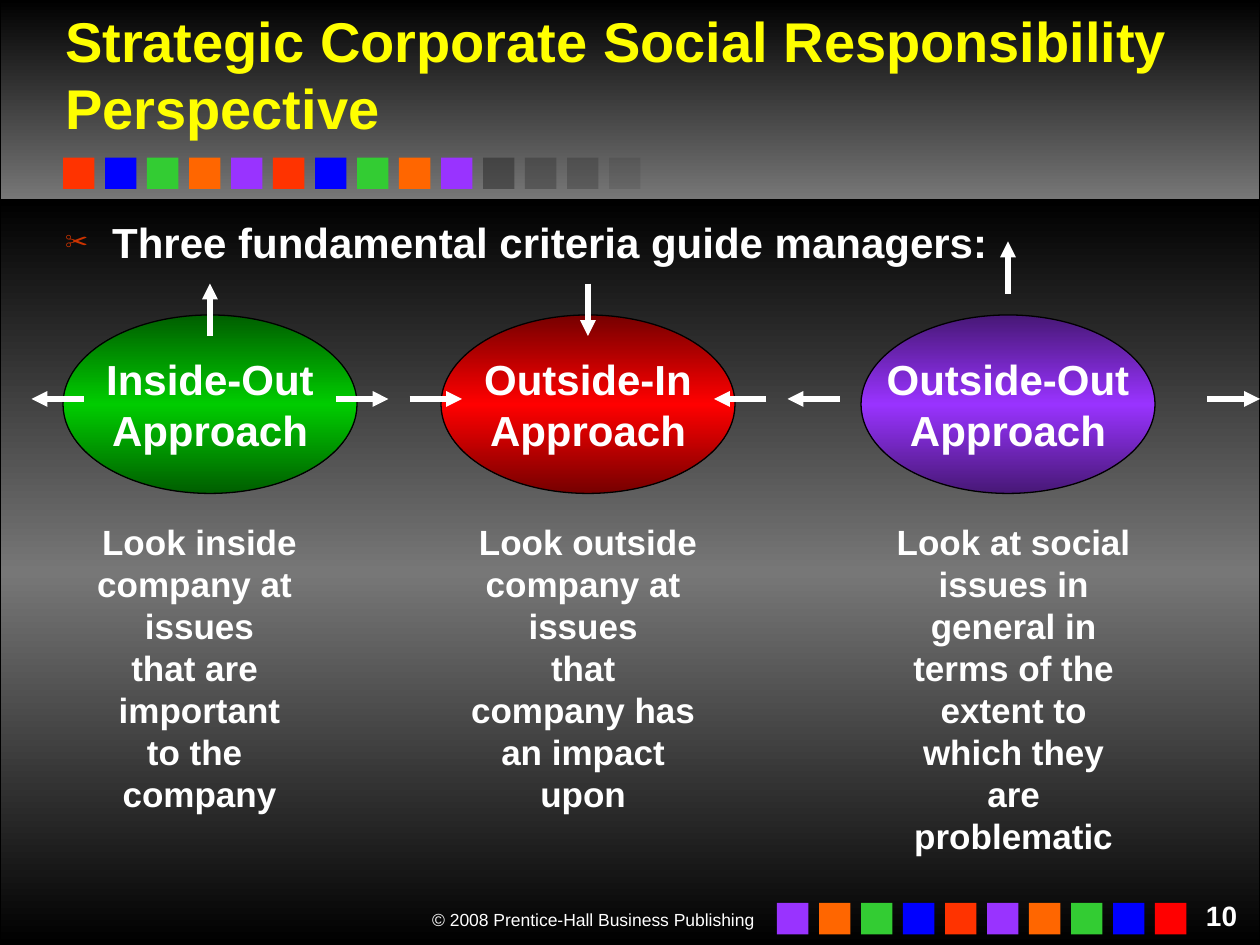
from dataclasses import dataclass
from lxml.etree import SubElement as Sub
from pptx import Presentation
from pptx.dml.color import RGBColor as RGB
from pptx.enum.shapes import MSO_CONNECTOR as Link, MSO_SHAPE as Form
from pptx.enum.text import MSO_ANCHOR as Anchor, MSO_AUTO_SIZE as Fit, PP_ALIGN as Align
from pptx.oxml.ns import qn
from pptx.util import Cm, Pt


@dataclass(frozen=True)
class Theme:
    font: str = "Arial"
    black: str = "000000"
    white: str = "FFFFFF"
    gray: str = "777777"
    dark: str = "292929"
    yellow: str = "FFFF00"
    bullet: str = "CC3300"
    red: str = "FF3300"
    blue: str = "0000FF"
    green: str = "33CC33"
    orange: str = "FF6600"
    purple: str = "9933FF"
    bright: str = "FF0000"
    lime: str = "00CC00"
    forest: str = "005E00"
    maroon: str = "760000"
    plum: str = "471876"
    head: int = 32
    lead: int = 24
    text: int = 20
    page: int = 16
    foot: int = 10


theme = Theme()
unit = Cm(2.54 / 12)

deck = Presentation()
deck.slide_width, deck.slide_height = Cm(25.4), Cm(19.05)
slide = deck.slides.add_slide(deck.slide_layouts[1])
shapes = slide.shapes
title, body = slide.placeholders


def put(form, box, hues, edge=False):
    item = shapes.add_shape(form, *[n * unit for n in box])
    item.shadow.inherit = False
    if len(hues) == 1:
        item.fill.solid()
        item.fill.fore_color.rgb = RGB.from_string(hues[0])
    else:
        item.fill.gradient()
        item.fill.gradient_angle = 270
        stops = item.element.spPr.find(".//" + qn("a:gsLst"))
        stops[:] = []
        for i, hue in enumerate(hues):
            stop = Sub(stops, qn("a:gs"), pos=str(100000 * i // (len(hues) - 1)))
            Sub(stop, qn("a:srgbClr"), val=hue)
    if edge:
        item.line.color.rgb = RGB.from_string(theme.black)
        item.line.width = Pt(0.75)
    else:
        item.line.fill.background()
    return item


def style(frame, size, hue, align, anchor, wrap, bold=True):
    frame.auto_size = Fit.NONE
    frame.word_wrap = wrap
    frame.vertical_anchor = anchor
    for para in frame.paragraphs:
        para.alignment = align
        for run in para.runs:
            run.font.name = theme.font
            run.font.size = Pt(size)
            run.font.bold = bold
            run.font.color.rgb = RGB.from_string(hue)


for box, hues in [
    ((0, 0, 120, 19), (theme.black, theme.gray)),
    ((0, 19, 120, 71), (theme.black, theme.gray, theme.black)),
]:
    band = put(Form.RECTANGLE, box, hues, True)
    title.element.addprevious(band.element)

cycle = [theme.red, theme.blue, theme.green, theme.orange, theme.purple]
tail = cycle[::-1] + cycle[:0:-1] + [theme.bright]
for left, top, hues in [(6, 15, cycle * 2), (74, 86, tail)]:
    for i, hue in enumerate(hues):
        put(Form.RECTANGLE, (left + 4 * i, top, 3, 3), [hue])

for i, alpha in enumerate([50, 35, 30, 15]):
    tile = put(Form.RECTANGLE, (46 + 4 * i, 15, 3, 3), [theme.dark])
    color = tile.element.spPr.find(qn("a:solidFill"))[0]
    Sub(color, qn("a:alpha"), val=str(alpha * 1000))

title.text_frame.text = "Strategic Corporate Social Responsibility Perspective"
body.text_frame.text = "Three fundamental criteria guide managers:"
lead = body.text_frame.paragraphs[0]
props = lead._p.get_or_add_pPr()
props.set("marL", str(Cm(0.95)))
props.set("indent", str(Cm(-0.95)))
Sub(Sub(props, qn("a:buClr")), qn("a:srgbClr"), val=theme.bullet)
Sub(props, qn("a:buSzPct"), val="55000")
Sub(props, qn("a:buChar"), char="✂")
lead.space_before = Pt(0)

for holder, top, height, size, hue, anchor in [
    (title, 0, 14, theme.head, theme.yellow, Anchor.MIDDLE),
    (body, 20, 63, theme.lead, theme.white, Anchor.TOP),
]:
    holder.left, holder.top = 5 * unit, top * unit
    holder.width, holder.height = 109 * unit, height * unit
    style(holder.text_frame, size, hue, Align.LEFT, anchor, True)
    for fill in holder.element.iter(qn("a:solidFill")):
        glow = fill.makeelement(qn("a:effectLst"))
        cast = Sub(glow, qn("a:outerShdw"), dist="35921", dir="2700000")
        Sub(cast, qn("a:srgbClr"), val=theme.black)
        fill.addnext(glow)

for left, name, shade, hue, start, lines in [
    (6, "Inside-Out", theme.forest, theme.lime, 5,
     ["Look inside", "company at ", "issues", "that are ", "important", "to the ", "company"]),
    (42, "Outside-In", theme.maroon, theme.bright, 42,
     ["Look outside", "company at ", "issues ", "that ", "company has ", "an impact ", "upon "]),
    (82, "Outside-Out", theme.plum, theme.purple, 83,
     ["Look at social ", "issues in ", "general in ", "terms of the ", "extent to ",
      "which they ", "are ", "problematic "]),
]:
    oval = put(Form.OVAL, (left, 30, 28, 17), (shade, hue, shade), True)
    oval.text_frame.text = name + "\nApproach"
    style(oval.text_frame, theme.lead, theme.white, Align.CENTER, Anchor.MIDDLE, False)
    note = shapes.add_textbox(start * unit, 49 * unit, 28 * unit, 33 * unit)
    note.text_frame.text = "\n".join(lines)
    style(note.text_frame, theme.text, theme.white, Align.CENTER, Anchor.TOP, False)

for box, words, size, bold in [
    ((35, 86, 38, 3), "© 2008 Prentice-Hall Business Publishing", theme.foot, False),
    ((113, 85, 6, 2), "10", theme.page, True),
]:
    label = shapes.add_textbox(*[n * unit for n in box])
    label.text_frame.text = words
    style(label.text_frame, size, theme.white, Align.RIGHT, Anchor.TOP, True, bold)

for x, y, across, down in [
    (20, 32, 0, -5), (32, 38, 5, 0), (8, 38, -5, 0),
    (56, 27, 0, 5), (73, 38, -5, 0), (39, 38, 5, 0),
    (96, 28, 0, -5), (115, 38, 5, 0), (80, 38, -5, 0),
]:
    ends = [n * unit for n in (x, y, x + across, y + down)]
    arrow = shapes.add_connector(Link.STRAIGHT, *ends)
    arrow.line.color.rgb = RGB.from_string(theme.white)
    arrow.line.width = Pt(3)
    props = arrow.element.spPr
    Sub(props.find(qn("a:ln")), qn("a:tailEnd"), type="triangle")
    Sub(props, qn("a:effectLst"))

deck.save("out.pptx")
